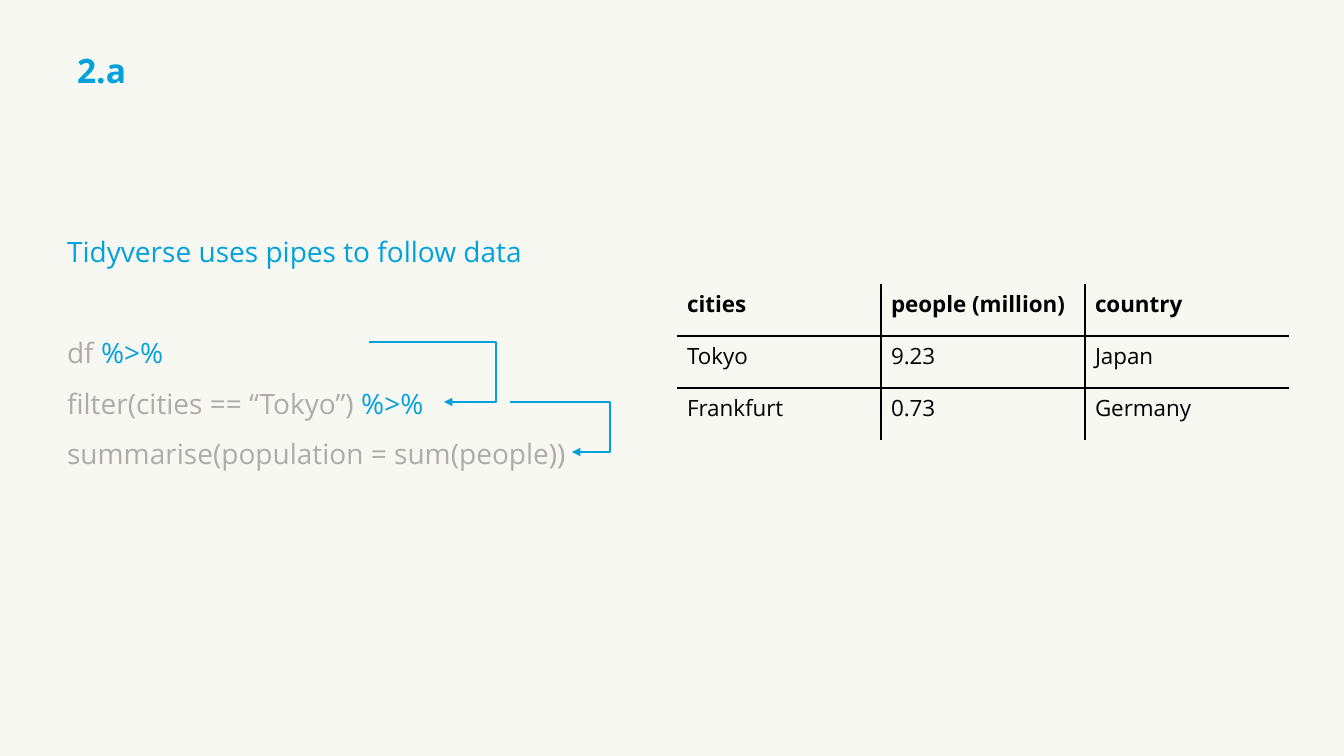
"""Build the slide on how pipes carry a data frame from step to step."""
from lxml.etree import SubElement
from pptx import Presentation
from pptx.dml.color import RGBColor
from pptx.enum.shapes import MSO_CONNECTOR
from pptx.enum.text import MSO_ANCHOR, MSO_AUTO_SIZE as AUTO_SIZE, PP_ALIGN
from pptx.oxml.ns import qn
from pptx.util import Emu, Pt

FONT = "Open Sans"
BLUE, GRAY, BLACK, PAPER = "00A1DD", "AFABAB", "000000", "F8F8F3"
SLIDE_SIZE = (1344, 756)

TITLE = "2.a"
TITLE_BOX = (67, 45, 158, 50)

CODE_BOX = (57, 213, 596, 259)
CODE_LINES = [
    [("Tidyverse uses pipes to follow data", BLUE)],
    [("df", GRAY), (" %>%", BLUE)],
    [("filter(cities == “Tokyo”) ", GRAY), ("%>%", BLUE)],
    [("summarise(population = sum(people))", GRAY)],
]
FIRST_CODE_LINE = 1

TABLE_ORIGIN = (677, 284)
CELL_SIZE = (204, 52)
CITIES = [
    ("cities", "people (million)", "country"),
    ("Tokyo", "9.23", "Japan"),
    ("Frankfurt", "0.73", "Germany"),
]

PIPE_ARROWS = [
    {"start": (369, 342), "end": (444, 402), "turn": 496},
    {"start": (510, 402), "end": (572, 452), "turn": 610},
]


def px(length):
    return Emu(round(length * 914400 / 100.8))


def color(value):
    return RGBColor.from_string(value)


def style(span, size, value, bold=False):
    span.font.name = FONT
    span.font.size = Pt(size)
    span.font.bold = bold
    span.font.color.rgb = color(value)


def place(box, bounds):
    box.left, box.top, box.width, box.height = map(px, bounds)
    box.text_frame.word_wrap = True
    box.text_frame.auto_size = AUTO_SIZE.NONE


def fill_title(box):
    place(box, TITLE_BOX)
    box.text_frame.text = TITLE
    box.text_frame.vertical_anchor = MSO_ANCHOR.MIDDLE
    para = box.text_frame.paragraphs[0]
    para.alignment = PP_ALIGN.LEFT
    style(para.runs[0], 24, BLUE, bold=True)


def fill_code(box):
    place(box, CODE_BOX)
    frame = box.text_frame
    frame.vertical_anchor = MSO_ANCHOR.TOP
    frame.text = "\n".join("" for _ in CODE_LINES)
    for index, (para, parts) in enumerate(zip(frame.paragraphs, CODE_LINES)):
        para.line_spacing = 1.5
        para.space_before = Pt(36 if index == FIRST_CODE_LINE else 0)
        settings = para._p.get_or_add_pPr()
        settings.set("marL", "0")
        settings.set("indent", "0")
        SubElement(settings, qn("a:buNone"))
        for text, value in parts:
            span = para.add_run()
            span.text = text
            style(span, 20, value)


def set_borders(cell, inner_sides):
    settings = cell._tc.get_or_add_tcPr()
    for position, side in enumerate("LRTB"):
        border = SubElement(settings, qn(f"a:ln{side}"), w=str(Pt(1)))
        if side in inner_sides:
            fill = SubElement(border, qn("a:solidFill"))
            SubElement(fill, qn("a:srgbClr"), val=BLACK)
        else:
            SubElement(border, qn("a:noFill"))
        settings.insert(position, border)


def add_cities(page):
    row_count, column_count = len(CITIES), len(CITIES[0])
    width, height = CELL_SIZE
    bounds = (*TABLE_ORIGIN, width * column_count, height * row_count)
    table = page.shapes.add_table(row_count, column_count, *map(px, bounds)).table
    table.horz_banding = False
    for r, values in enumerate(CITIES):
        for c, value in enumerate(values):
            cell = table.cell(r, c)
            cell.text = value
            style(cell.text_frame.paragraphs[0].runs[0], 16, BLACK, bold=r == 0)
            cell.fill.background()
            inner = {"L": c > 0, "R": c < column_count - 1,
                     "T": r > 0, "B": r < row_count - 1}
            set_borders(cell, [side for side in inner if inner[side]])


def add_pipe_arrow(page, start, end, turn):
    arrow = page.shapes.add_connector(MSO_CONNECTOR.ELBOW, *map(px, start + end))
    arrow.line.color.rgb = color(BLUE)
    arrow.line.width = Pt(1.5)
    bend = round((turn - start[0]) / (end[0] - start[0]) * 100000)
    shape_settings = arrow._element.spPr
    guides = shape_settings.find(qn("a:prstGeom")).find(qn("a:avLst"))
    SubElement(guides, qn("a:gd"), name="adj1", fmla=f"val {bend}")
    SubElement(shape_settings.find(qn("a:ln")), qn("a:tailEnd"), type="triangle")
    SubElement(shape_settings, qn("a:effectLst"))


def main():
    deck = Presentation()
    deck.slide_width, deck.slide_height = map(px, SLIDE_SIZE)
    page = deck.slides.add_slide(deck.slide_layouts[1])
    page.background.fill.solid()
    page.background.fill.fore_color.rgb = color(PAPER)
    fill_title(page.shapes.title)
    fill_code(page.placeholders[1])
    add_cities(page)
    for arrow in PIPE_ARROWS:
        add_pipe_arrow(page, **arrow)
    deck.save("out.pptx")


if __name__ == "__main__":
    main()
